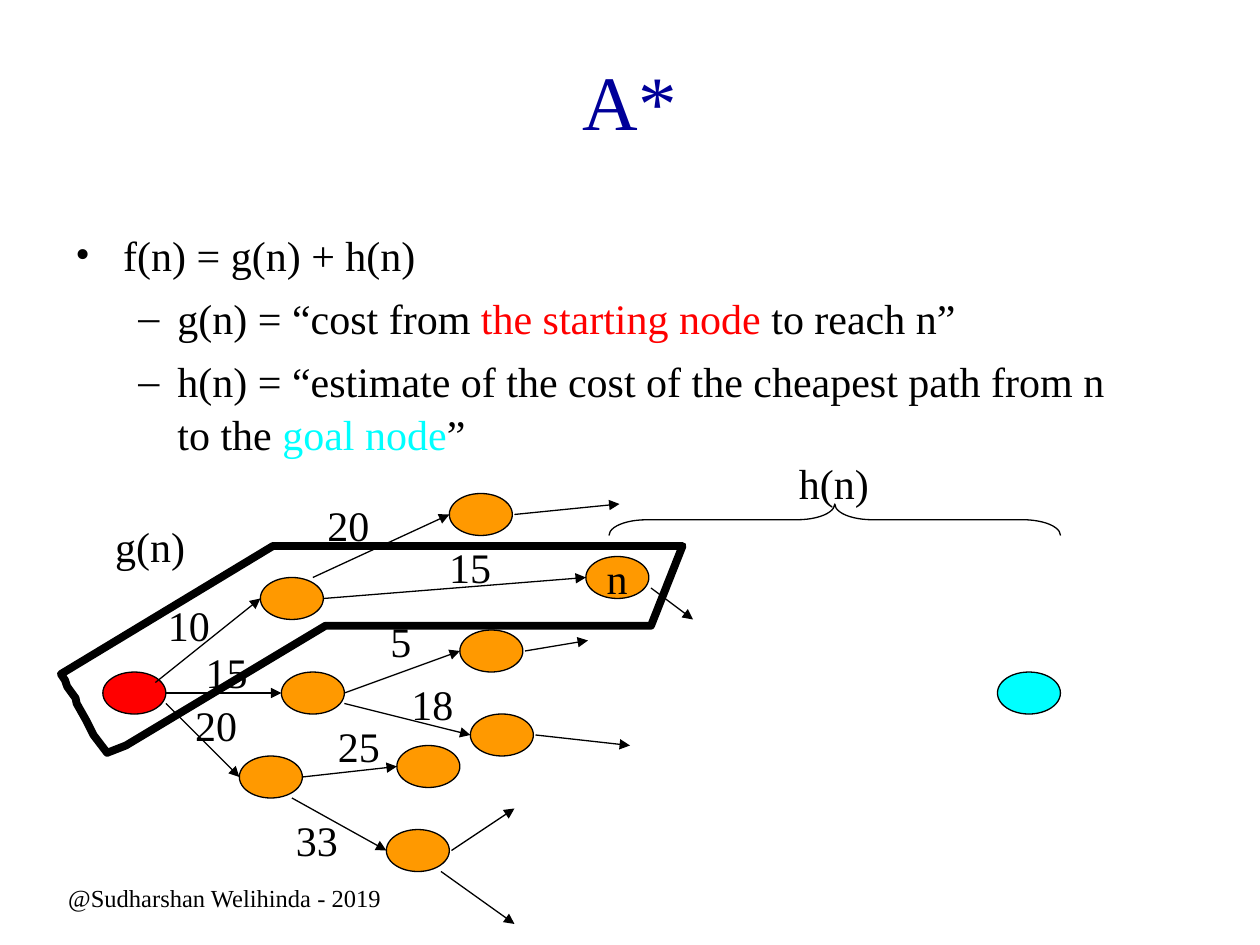
from lxml.etree import SubElement
from pptx import Presentation
from pptx.dml.color import RGBColor
from pptx.enum.shapes import MSO_CONNECTOR, MSO_SHAPE
from pptx.enum.text import MSO_ANCHOR, PP_ALIGN
from pptx.oxml.ns import qn
from pptx.util import Emu, Inches, Pt

# The grid has 120 columns and 90 rows, each a twelfth of an inch
CELL = Inches(1) / 12
FONT, BLACK, ORANGE = "Times New Roman", "000000", "FF9900"
RED, CYAN, NAVY = "FF0000", "00FFFF", "000099"
hue = RGBColor.from_string


def grid(*cells):
    return [Emu(round(cell * CELL)) for cell in cells]


def write(text, box, size=24, color=BLACK, align=PP_ALIGN.LEFT,
          anchor=MSO_ANCHOR.TOP, wrap=True):
    """Add a text box; text is a string or a list of (run, color) paragraphs."""
    frame = slide.shapes.add_textbox(*grid(*box)).text_frame
    frame.word_wrap, frame.vertical_anchor = wrap, anchor
    rows = [[(text, color)]] if isinstance(text, str) else text
    for i, row in enumerate(rows):
        para = frame.paragraphs[0] if i == 0 else frame.add_paragraph()
        para.alignment = align
        for words, tint in row:
            run = para.add_run()
            run.text = words
            run.font.name, run.font.size = FONT, Pt(size)
            run.font.color.rgb = hue(tint)
    return frame


deck = Presentation()
deck.slide_width, deck.slide_height = grid(120, 90)
slide = deck.slides.add_slide(deck.slide_layouts[6])

# Title
write("A*", (9, 2, 102, 15), size=44, color=NAVY,
      align=PP_ALIGN.CENTER, anchor=MSO_ANCHOR.MIDDLE)

# Bulleted definitions
body = write([
    [("f(n) = g(n) + h(n)", BLACK)],
    [("g(n) = “cost from ", BLACK), ("the starting node", RED),
     (" to reach n”", BLACK)],
    [("h(n) = “estimate of the cost of the cheapest path from n to the ", BLACK),
     ("goal node", CYAN), ("”", BLACK)],
], (6, 21, 102, 54))
for i, para in enumerate(body.paragraphs):
    para.level = min(i, 1)
    para.space_before, para.line_spacing = Pt(6), 1.05
    mark, left, hang = ("–", 0.81, 0.31) if i else ("•", 0.38, 0.38)
    props = para._p.get_or_add_pPr()
    props.set("marL", str(Inches(left)))
    props.set("indent", str(-Inches(hang)))
    SubElement(props, qn("a:buFont"), typeface=FONT)
    SubElement(props, qn("a:buChar"), char=mark)

# Search nodes: column, row, fill
nodes = [(10, 64, RED), (95.2, 64, CYAN)]
nodes += [(col, row, ORANGE) for col, row in (
    (25, 55), (27, 64), (23, 72), (43, 47), (56, 53),
    (44, 60), (45, 68), (38, 71), (37, 79))]
for col, row, fill in nodes:
    node = slide.shapes.add_shape(MSO_SHAPE.OVAL, *grid(col - 0.2, row, 6, 4))
    node.shadow.inherit = False
    node.fill.solid()
    node.fill.fore_color.rgb = hue(fill)
    node.line.color.rgb = hue(BLACK)
    node.line.width = Pt(0.75)

# Arrows between nodes, then arrows to nodes not yet opened
edges = [(15, 65, 25, 57), (16, 66, 27, 66), (16, 67, 23, 74),
         (31, 57, 56, 55), (33, 66, 44, 62), (29, 74, 38, 73),
         (28, 76, 37, 81), (30, 55, 43, 49), (33, 67, 45, 70)]
ahead = [(43, 81, 49, 77), (42, 83, 49, 88), (51, 70, 60, 71),
         (50, 62, 56, 61), (62, 56, 66, 59), (49, 49, 59, 48)]
for shift, group in ((0.2, edges), (0, ahead)):
    for x1, y1, x2, y2 in group:
        arrow = slide.shapes.add_connector(
            MSO_CONNECTOR.STRAIGHT, *grid(x1 - shift, y1, x2 - shift, y2))
        arrow.line.color.rgb = hue(BLACK)
        arrow.line.width = Pt(0.75)
        SubElement(arrow.line._get_or_add_ln(), qn("a:tailEnd"), type="triangle")
        SubElement(arrow._element.spPr, qn("a:effectLst"))

# Step costs and names
for text, col, row, wide in (
        ("10", 14.8, 56.5, 6.5), ("15", 18.4, 61, 6.5), ("20", 17.4, 66, 6.5),
        ("20", 30, 47, 6.5), ("15", 41.6, 51, 6.5), ("5", 36, 58, 6.5),
        ("18", 38, 64, 6.5), ("25", 31, 68, 6.5), ("33", 27, 77, 6.5),
        ("n", 56.6, 52, 4.8), ("g(n)", 9.8, 49, 9.6), ("h(n)", 74.9, 43, 9.6)):
    write(text, (col, row, wide, 6))

# Heavy outline around the path to n
ring = [(10.2, 71.7), (8.9, 70), (8.2, 68.6), (7.3, 67), (7.2, 66.5),
        (6.4, 65.4), (6.2, 64.8), (5.8, 64.2), (26, 52), (65, 52),
        (62, 59.6), (31, 59.6), (12, 71)]
pen = slide.shapes.build_freeform(*grid(*ring[0]))
pen.add_line_segments([grid(*spot) for spot in ring[1:]], close=True)
path = pen.convert_to_shape()
path.line.width = Pt(4.5)

# Brace over the estimated part
brace = slide.shapes.add_shape(MSO_SHAPE.LEFT_BRACE, *grid(78, 28, 3, 43))
brace.rotation = 90
brace.adjustments[0] = 1.19
brace.line.width = Pt(0.75)
for item in (path, brace):
    item.shadow.inherit = False
    item.fill.background()
    item.line.color.rgb = hue(BLACK)
SubElement(path.line._get_or_add_ln(), qn("a:round"))

# Footer
write("@Sudharshan Welihinda - 2019", (2.4, 82.5, 38, 6), size=14,
      align=PP_ALIGN.CENTER, anchor=MSO_ANCHOR.MIDDLE, wrap=False)

deck.save("out.pptx")
